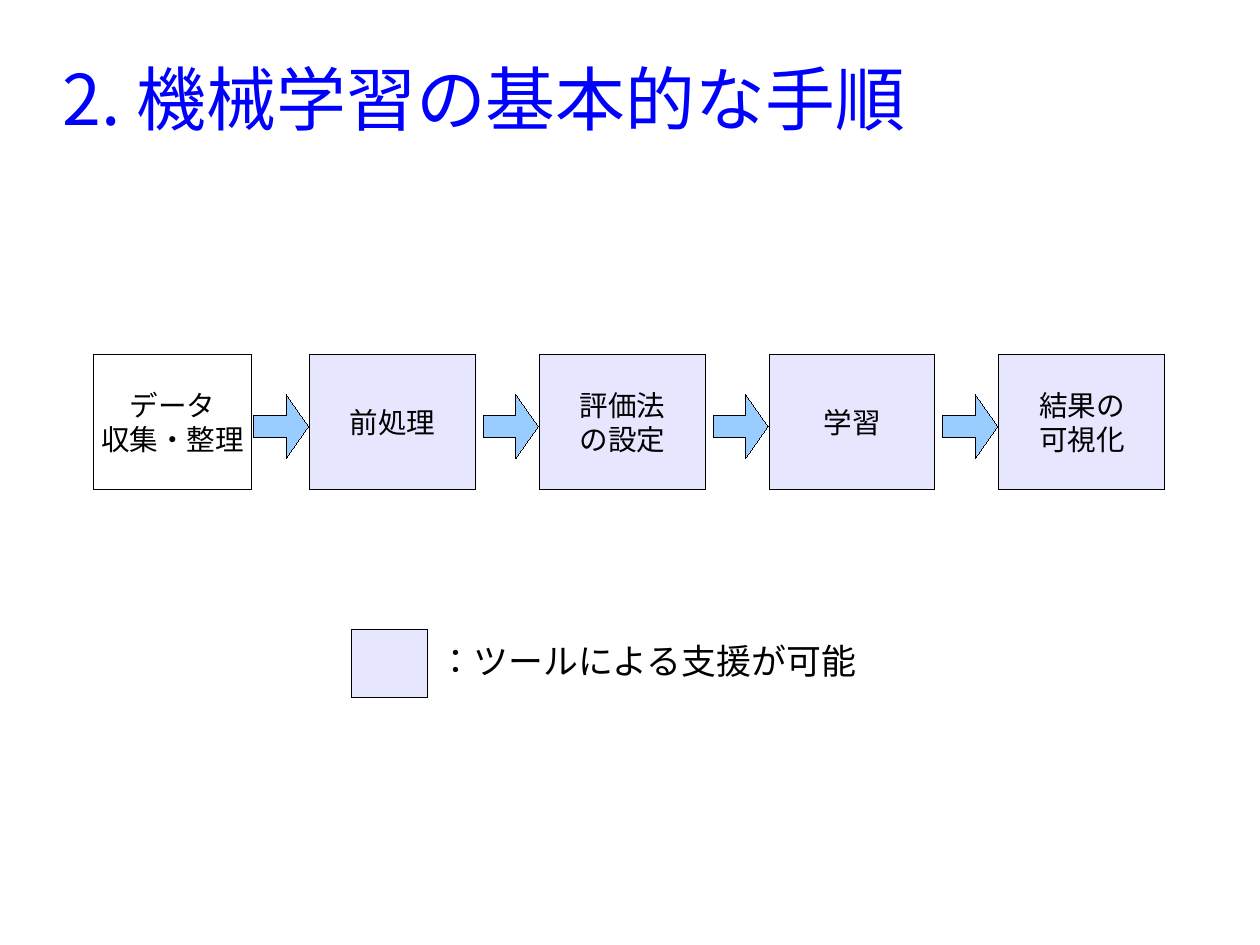
from lxml.etree import SubElement
from pptx import Presentation
from pptx.dml.color import RGBColor
from pptx.enum.lang import MSO_LANGUAGE_ID
from pptx.enum.shapes import MSO_SHAPE
from pptx.enum.text import MSO_ANCHOR, PP_ALIGN
from pptx.oxml.ns import qn
from pptx.util import Inches, Pt

COLORS = {
    "title": "0000FF",
    "text": "000000",
    "line": "000000",
    "manual": "FFFFFF",
    "supported": "E6E6FF",
    "arrow": "99CCFF",
}
CJK = "Noto Sans CJK JP"
CM_PER_INCH = 2.54
STEPS = ["前処理", "評価法\nの設定", "学習", "結果の\n可視化"]


def color(name):
    return RGBColor.from_string(COLORS[name])


def write(sp, text, size, name="text", font=CJK, align=PP_ALIGN.LEFT,
          anchor=MSO_ANCHOR.MIDDLE, wrap=True):
    tf = sp.text_frame
    tf.text = text
    tf.word_wrap = wrap
    tf.vertical_anchor = anchor
    for p in tf.paragraphs:
        p.alignment = align
        for r in p.runs:
            r.font.size = Pt(size)
            r.font.name = font
            r.font.language_id = MSO_LANGUAGE_ID.JAPANESE
            r.font.color.rgb = color(name)
            # Japanese glyphs use the East Asian font slot
            SubElement(r.font._element, qn("a:ea"), typeface=CJK)


def add_block(s, kind, fill, x, y, w, h):
    sp = s.shapes.add_shape(kind, Inches(x), Inches(y), Inches(w), Inches(h))
    sp.shadow.inherit = False
    sp.fill.solid()
    sp.fill.fore_color.rgb = color(fill)
    sp.line.color.rgb = color("line")
    # Hairline: an explicit zero width overrides the theme's line
    sp._element.spPr.find(qn("a:ln")).set("w", "0")
    return sp


def add_title(s, x, y, w, h):
    sp = s.shapes.add_textbox(Inches(x), Inches(y), Inches(w), Inches(h))
    tf = sp.text_frame
    tf.margin_left = tf.margin_right = tf.margin_top = tf.margin_bottom = 0
    write(sp, "2. 機械学習の基本的な手順", 44, "title")


def add_flow(s, x, y, w, h):
    # First step is done by hand
    sp = add_block(s, MSO_SHAPE.FLOWCHART_PROCESS, "manual", x, y, 1.38, h)
    write(sp, "データ\n収集・整理", 18, align=PP_ALIGN.CENTER, wrap=False)

    # Supported steps, each with an arrow leading into it
    step_w, pitch, arrow_w, arrow_h = 1.45, 2.01, 0.48, 0.56
    first = x + w - step_w - pitch * (len(STEPS) - 1)
    for i, text in enumerate(STEPS):
        left = first + i * pitch
        sp = add_block(s, MSO_SHAPE.RECTANGLE, "supported", left, y, step_w, h)
        write(sp, text, 18, align=PP_ALIGN.CENTER)
        arrow = add_block(s, MSO_SHAPE.RIGHT_ARROW, "arrow", left - arrow_w - 0.01,
                          y + 0.35, arrow_w, arrow_h)
        arrow.adjustments[0] = 0.34
        arrow.adjustments[1] = 0.41


def add_legend(s, x, y, w, h):
    swatch_w = 0.66
    add_block(s, MSO_SHAPE.RECTANGLE, "supported", x, y, swatch_w, h)
    sp = s.shapes.add_textbox(Inches(x + swatch_w), Inches(y + 0.04),
                              Inches(w - swatch_w), Inches(0.56))
    write(sp, "：ツールによる支援が可能", 22, font="Arial",
          anchor=MSO_ANCHOR.TOP, wrap=False)


def main():
    prs = Presentation()
    # The page is 28 by 21 cm
    prs.slide_width = Inches(28 / CM_PER_INCH)
    prs.slide_height = Inches(21 / CM_PER_INCH)
    s = prs.slides.add_slide(prs.slide_layouts[6])
    add_title(s, 0.55, 0.33, 9.92, 1.05)
    add_flow(s, 0.82, 3.1, 9.37, 1.18)
    add_legend(s, 3.08, 5.51, 4.52, 0.59)
    prs.save("out.pptx")


if __name__ == "__main__":
    main()
